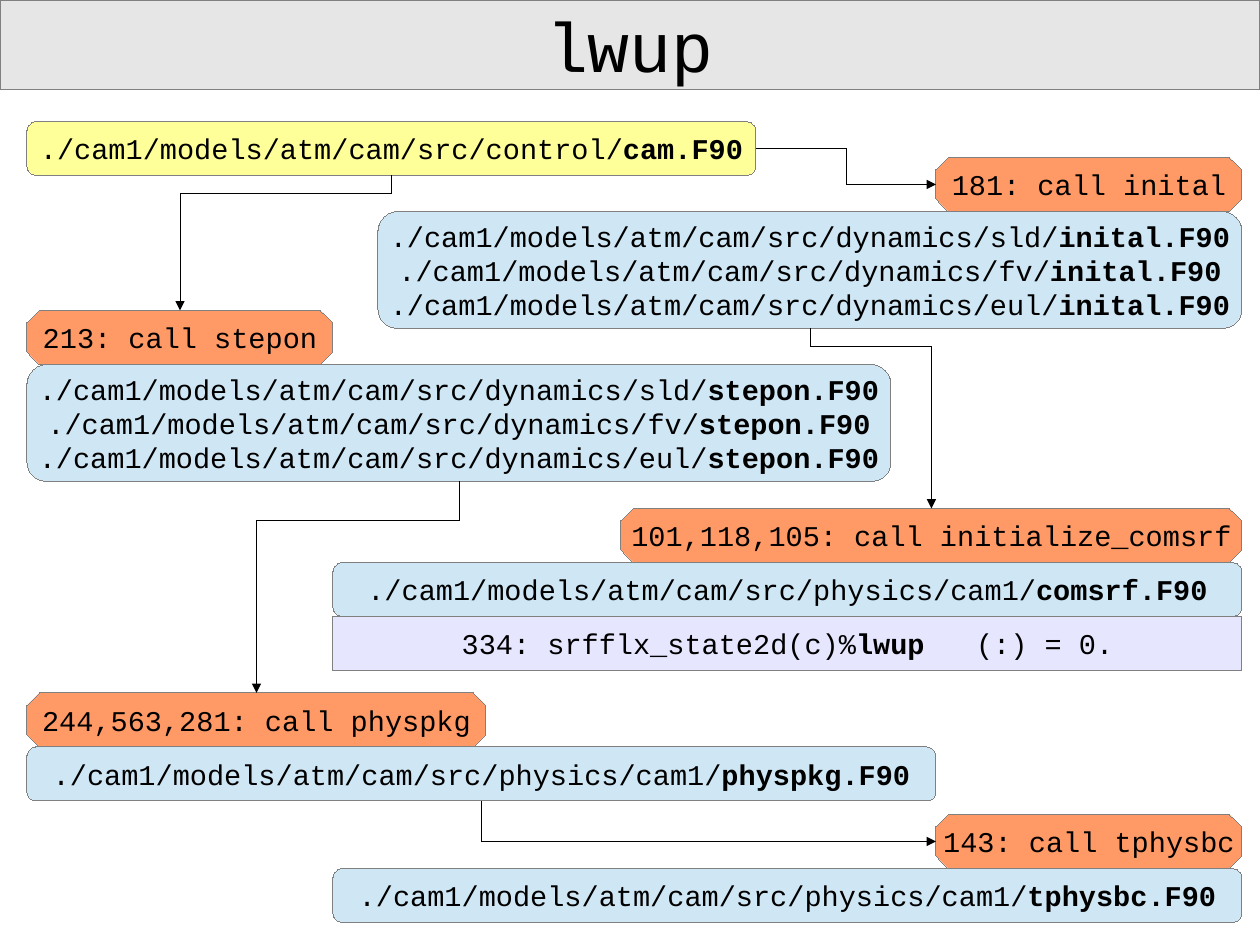
"""Build the lwup call-tree slide on a millimetre grid."""
from lxml.etree import SubElement
from pptx import Presentation
from pptx.dml.color import RGBColor
from pptx.enum.shapes import MSO_CONNECTOR, MSO_SHAPE as Preset
from pptx.enum.text import MSO_ANCHOR, MSO_AUTO_SIZE, PP_ALIGN
from pptx.oxml.ns import qn
from pptx.util import Mm, Pt

COLORS = {"title": "E6E6E6", "root": "FFFF99", "call": "FF9966", "file": "CFE7F5",
          "code": "E6E6FF", "border": "808080", "ink": "000000"}
PRESETS = {"root": Preset.ROUNDED_RECTANGLE, "file": Preset.ROUNDED_RECTANGLE,
           "call": Preset.OCTAGON, "code": Preset.RECTANGLE}
ADJUSTMENTS = {"root": 0.167, "file": 0.167, "call": 0.231}
WIDTH, HEIGHT, LEFT, RIGHT, ROW = 280, 210, 6, 276, 12
FILE_WIDTH, CALL_WIDTH, TRIO_WIDTH, TRIO_HEIGHT = 202, 68, 192, 26
SOURCE = "./cam1/models/atm/cam/src"


def style_box(shape, kind, lines, size):
    """Fill a box and write its lines, with *marked* parts in bold."""
    shape.fill.solid()
    shape.fill.fore_color.rgb = RGBColor.from_string(COLORS[kind])
    frame = shape.text_frame
    frame.word_wrap = False
    frame.auto_size = MSO_AUTO_SIZE.NONE
    frame.vertical_anchor = MSO_ANCHOR.MIDDLE
    frame.text = "\n".join(lines).replace("*", "")
    for paragraph, line in zip(frame.paragraphs, lines):
        paragraph.alignment = PP_ALIGN.CENTER
        paragraph.text = ""
        for index, part in enumerate(line.split("*")):
            if part:
                run = paragraph.add_run()
                run.text = part
                run.font.name = "Courier New"
                run.font.size = Pt(size)
                run.font.bold = index % 2 == 1
                run.font.color.rgb = RGBColor.from_string(COLORS["ink"])


def side_point(shape, side):
    """Return the middle of a box's left, right, top or bottom side."""
    across = {"left": 0, "right": 1}.get(side, 0.5)
    down = {"top": 0, "bottom": 1}.get(side, 0.5)
    return shape.left + shape.width * across, shape.top + shape.height * down


presentation = Presentation()
presentation.slide_width, presentation.slide_height = Mm(WIDTH), Mm(HEIGHT)
slide = presentation.slides.add_slide(presentation.slide_layouts[5])

title = slide.shapes.title
title.left, title.top, title.width, title.height = 0, 0, Mm(WIDTH), Mm(20)
style_box(title, "title", ["lwup"], 44)

trios = {name: [f"{SOURCE}/dynamics/{core}/*{name}.F90*" for core in ("sld", "fv", "eul")]
         for name in ("inital", "stepon")}
physics = {name: [f"{SOURCE}/physics/cam1/*{name}.F90*"]
           for name in ("comsrf", "physpkg", "tphysbc")}

boxes = [
    ("cam", "root", LEFT, 27, 162, ROW, [f"{SOURCE}/control/*cam.F90*"]),
    ("inital file", "file", RIGHT - TRIO_WIDTH, 47, TRIO_WIDTH, TRIO_HEIGHT, trios["inital"]),
    ("inital call", "call", RIGHT - CALL_WIDTH, 35, CALL_WIDTH, ROW, ["181: call inital"]),
    ("stepon call", "call", LEFT, 69, CALL_WIDTH, ROW, ["213: call stepon"]),
    ("stepon file", "file", LEFT, 81, TRIO_WIDTH, TRIO_HEIGHT, trios["stepon"]),
    ("comsrf call", "call", RIGHT - 138, 113, 138, ROW, ["101,118,105: call initialize_comsrf"]),
    ("comsrf file", "file", RIGHT - FILE_WIDTH, 125, FILE_WIDTH, ROW, physics["comsrf"]),
    ("comsrf code", "code", RIGHT - FILE_WIDTH, 137, FILE_WIDTH, ROW,
     ["334: srfflx_state2d(c)%*lwup*   (:) = 0."]),
    ("physpkg call", "call", LEFT, 154, 102, ROW, ["244,563,281: call physpkg"]),
    ("physpkg file", "file", LEFT, 166, FILE_WIDTH, ROW, physics["physpkg"]),
    ("tphysbc call", "call", RIGHT - CALL_WIDTH, 181, CALL_WIDTH, ROW, ["143: call tphysbc"]),
    ("tphysbc file", "file", RIGHT - FILE_WIDTH, 193, FILE_WIDTH, ROW, physics["tphysbc"]),
]
shapes = {}
for name, kind, left, top, width, height, lines in boxes:
    shape = slide.shapes.add_shape(PRESETS[kind], Mm(left), Mm(top), Mm(width), Mm(height))
    shape.shadow.inherit = False
    if kind in ADJUSTMENTS:
        shape.adjustments[0] = ADJUSTMENTS[kind]
    style_box(shape, kind, lines, 18)
    shapes[name] = shape

arrows = [
    ("cam", "right", "inital call", "left", 0.5),
    ("cam", "bottom", "stepon call", "top", 0.133),
    ("inital file", "bottom", "comsrf call", "top", 0.1),
    ("stepon file", "bottom", "physpkg call", "top", 0.181),
    ("physpkg file", "bottom", "tphysbc call", "left", None),
]
connectors = []
for source, source_side, target, target_side, bend in arrows:
    start_x, start_y = side_point(shapes[source], source_side)
    end_x, end_y = side_point(shapes[target], target_side)
    turn = 0
    if source_side == "bottom":
        turn = 270 if end_x > start_x else 90
        center_x, center_y = (start_x + end_x) / 2, (start_y + end_y) / 2
        half_long, half_short = (end_y - start_y) / 2, abs(end_x - start_x) / 2
        flip = -1 if turn == 270 else 1
        start_x, end_x = center_x - flip * half_long, center_x + flip * half_long
        start_y, end_y = center_y - half_short, center_y + half_short
    arrow = slide.shapes.add_connector(
        MSO_CONNECTOR.ELBOW, int(start_x), int(start_y), int(end_x), int(end_y))
    properties = arrow._element.spPr
    if turn:
        properties.find(qn("a:xfrm")).set("rot", str(turn * 60000))
    geometry = properties.find(qn("a:prstGeom"))
    if bend is None:
        geometry.set("prst", "bentConnector2")
    else:
        SubElement(geometry.find(qn("a:avLst")), qn("a:gd"),
                   name="adj1", fmla=f"val {round(bend * 100000)}")
    connectors.append(arrow)

outlined = [(shape, "border") for shape in [title, *shapes.values()]]
outlined += [(arrow, "ink") for arrow in connectors]
for shape, color in outlined:
    shape.line.color.rgb = RGBColor.from_string(COLORS[color])
    shape._element.spPr.find(qn("a:ln")).set("w", "0")

for arrow in connectors:
    properties = arrow._element.spPr
    SubElement(properties.find(qn("a:ln")), qn("a:tailEnd"), type="triangle")
    SubElement(properties, qn("a:effectLst"))

presentation.save("out.pptx")
